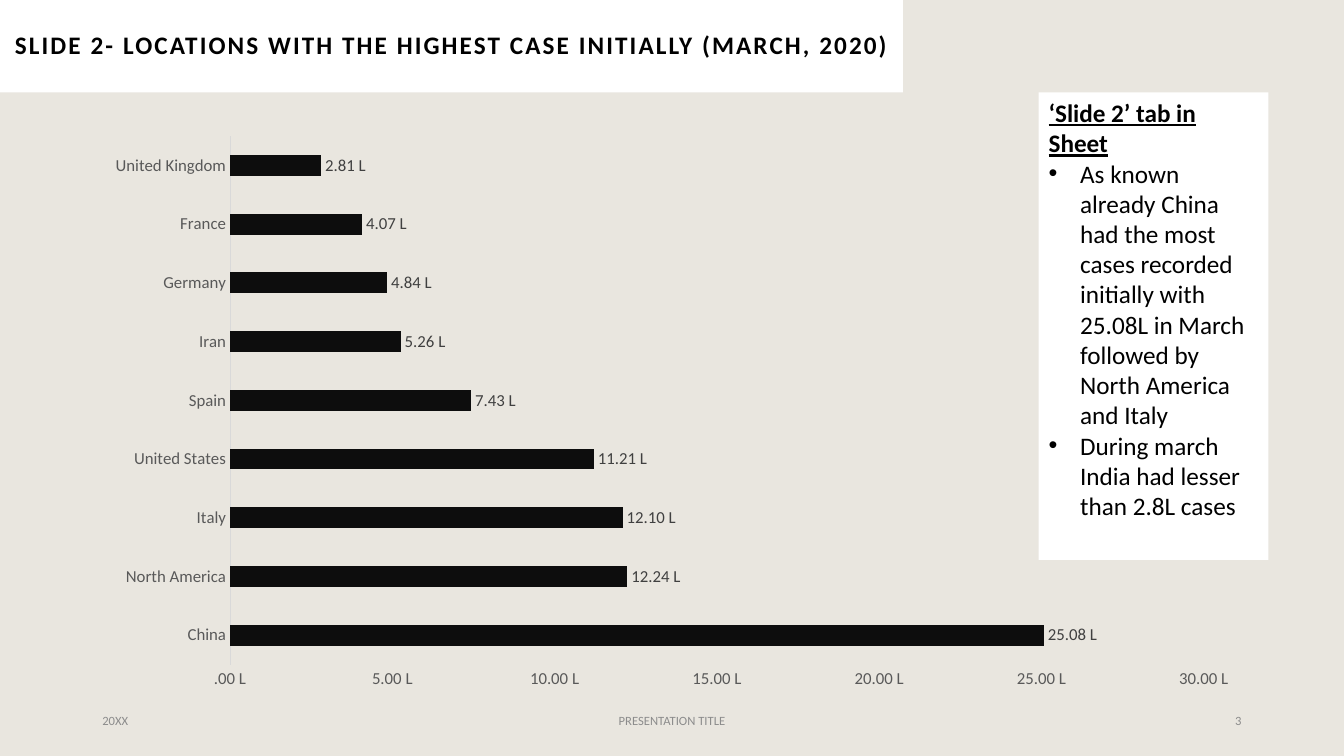
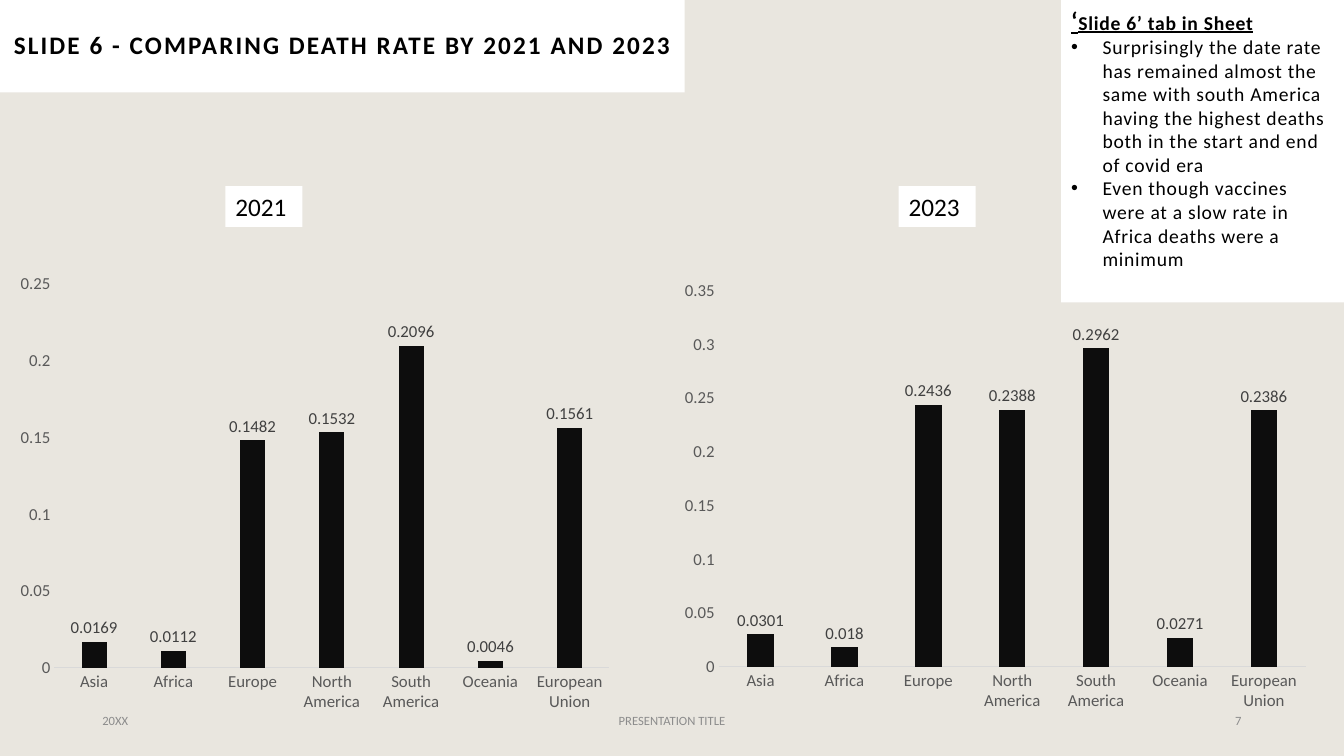
from dataclasses import dataclass

from lxml import etree
from pptx import Presentation
from pptx.chart.data import CategoryChartData
from pptx.dml.color import RGBColor
from pptx.enum.chart import XL_CHART_TYPE, XL_LABEL_POSITION, XL_TICK_MARK
from pptx.enum.text import MSO_ANCHOR, MSO_AUTO_SIZE, PP_ALIGN
from pptx.oxml import parse_xml
from pptx.oxml.ns import nsdecls, qn
from pptx.util import Pt

BAR, COLUMN = XL_CHART_TYPE.BAR_CLUSTERED, XL_CHART_TYPE.COLUMN_CLUSTERED
OUTSIDE, NO_TICK = XL_LABEL_POSITION.OUTSIDE_END, XL_TICK_MARK.NONE
LEFT, CENTER, RIGHT = PP_ALIGN.LEFT, PP_ALIGN.CENTER, PP_ALIGN.RIGHT
TOP, MIDDLE = MSO_ANCHOR.TOP, MSO_ANCHOR.MIDDLE
NO_FIT = MSO_AUTO_SIZE.NONE


@dataclass(frozen=True)
class Theme:
    font: str = "Calibri"
    paper: str = "E9E6DF"
    white: str = "FFFFFF"
    black: str = "000000"
    bar: str = "0D0D0D"
    value: str = "404040"
    axis: str = "595959"
    rule: str = "D9D9D9"
    foot: str = "8C8C8C"
    large: int = 18
    note: int = 14
    chart: int = 12
    small: int = 9


def place(shape, box):
    shape.left, shape.top, shape.width, shape.height = map(Pt, box)


def paint(fill, color):
    fill.solid()
    fill.fore_color.rgb = RGBColor.from_string(color)


class Deck:
    def __init__(self, theme):
        self.theme = theme
        self.show = Presentation()
        self.show.slide_width, self.show.slide_height = Pt(960), Pt(540)
        paint(self.show.slide_master.background.fill, theme.paper)
        self.slide = None

    def style(self, font, size, color, bold=False, track=0):
        font.name = self.theme.font
        font.size = Pt(size)
        font.bold = bold
        font.color.rgb = RGBColor.from_string(color)
        if track:
            font._element.set("spc", str(int(track * 100)))

    def page(self, title, width, number):
        self.slide = self.show.slides.add_slide(self.show.slide_layouts[5])
        shape = self.slide.shapes.title
        place(shape, (0, 0, width, 66))
        paint(shape.fill, self.theme.white)
        frame = shape.text_frame
        frame.text = title
        frame.auto_size = NO_FIT
        frame.word_wrap = True
        frame.vertical_anchor = MIDDLE
        para = frame.paragraphs[0]
        para.alignment = CENTER
        para.line_spacing = 0.9
        self.style(para.font, self.theme.large, self.theme.black, True, 1.5)
        feet = (("20XX", 66, 216, LEFT),
                ("PRESENTATION TITLE", 318, 324, CENTER),
                (str(number), 678, 216, RIGHT))
        for text, left, wide, align in feet:
            para = self.frame((left, 500, wide, 29), MIDDLE).paragraphs[0]
            para.text = text
            para.alignment = align
            self.style(para.font, self.theme.small, self.theme.foot)

    def frame(self, box, anchor=TOP, fill=None):
        shape = self.slide.shapes.add_textbox(*map(Pt, box))
        if fill:
            paint(shape.fill, fill)
        frame = shape.text_frame
        frame.word_wrap = True
        frame.auto_size = NO_FIT
        frame.vertical_anchor = anchor
        return frame

    def tag(self, text, box):
        para = self.frame(box, fill=self.theme.white).paragraphs[0]
        para.text = text
        self.style(para.font, self.theme.large, self.theme.black)

    def note(self, head, points, box, size, track=0):
        frame = self.frame(box, fill=self.theme.white)
        para = frame.paragraphs[0]
        quote = para.add_run()
        quote.text = "‘"
        quote.font.size = Pt(self.theme.large)
        para.add_run().text = head
        self.style(para.font, size, self.theme.black, True, track)
        para.font.underline = True
        for point in points:
            para = frame.add_paragraph()
            para.text = point
            props = para._p.get_or_add_pPr()
            props.set("marL", str(Pt(22.5)))
            props.set("indent", str(-Pt(22.5)))
            etree.SubElement(props, qn("a:buFont")).set("typeface", "Arial")
            etree.SubElement(props, qn("a:buChar")).set("char", "•")
            self.style(para.font, size, self.theme.black, False, track)

    def chart(self, kind, names, values, box, gap, top, step, form="General"):
        theme = self.theme
        data = CategoryChartData(number_format=form)
        data.categories = names
        data.add_series("Series 1", values)
        chart = self.slide.shapes.add_chart(kind, *map(Pt, box), data).chart
        chart.has_legend = False
        chart.has_title = False
        self.style(chart.font, theme.chart, theme.axis)
        clear = f'<c:spPr {nsdecls("c", "a")}><a:noFill/><a:ln><a:noFill/></a:ln></c:spPr>'
        chart._chartSpace.find(qn("c:chart")).addnext(parse_xml(clear))

        for axis in (chart.category_axis, chart.value_axis):
            axis.has_major_gridlines = False
            axis.major_tick_mark = axis.minor_tick_mark = NO_TICK
            self.style(axis.tick_labels.font, theme.chart, theme.axis)
        line = chart.category_axis.format.line
        paint(line.fill, theme.rule)
        line.width = Pt(0.75)
        scale = chart.value_axis
        scale.format.line.fill.background()
        scale.minimum_scale, scale.maximum_scale = 0, top
        scale.major_unit = step
        scale.tick_labels.number_format = form
        scale.tick_labels.number_format_is_linked = False

        plot = chart.plots[0]
        plot.gap_width = gap
        plot.vary_by_categories = False
        paint(plot.series[0].format.fill, theme.bar)
        plot.has_data_labels = True
        labels = plot.data_labels
        labels.show_value = True
        labels.position = OUTSIDE
        labels.number_format = form
        labels.number_format_is_linked = False
        self.style(labels.font, theme.chart, theme.value)


def main():
    theme = Theme()
    deck = Deck(theme)

    deck.page("SLIDE 2- LOCATIONS WITH THE HIGHEST CASE INITIALLY (MARCH, 2020)", 645, 3)
    places = ("China", "North America", "Italy", "United States", "Spain",
              "Iran", "Germany", "France", "United Kingdom")
    cases = (2508000, 1224000, 1210000, 1121000, 743000,
             526000, 484000, 407000, 281000)
    deck.chart(BAR, places, cases, (66, 89, 828, 411), 182,
               3000000, 500000, r'#\.00,\ "L"')
    deck.note("Slide 2’ tab in Sheet", (
        "As known already China had the most cases recorded initially with "
        "25.08L in March followed by North America and Italy",
        "During march India had lesser than 2.8L cases",
    ), (742, 66, 164, 334), theme.large)

    deck.page("SLIDE 6 - COMPARING DEATH RATE BY 2021 AND 2023", 489, 7)
    deck.note("Slide 6’ tab in Sheet", (
        "Surprisingly the date rate has remained almost the same with south "
        "America having the highest deaths both in the start and end of covid era",
        "Even though vaccines were at a slow rate in Africa deaths were a minimum",
    ), (758, 0, 202, 216), theme.note, 0.5)
    lands = ("Asia", "Africa", "Europe", "North America", "South America",
             "Oceania", "European Union")
    years = (
        ("2021", 161, (6, 189, 438, 326), 0.25,
         (0.0169, 0.0112, 0.1482, 0.1532, 0.2096, 0.0046, 0.1561)),
        ("2023", 642, (480, 194, 462, 320), 0.35,
         (0.0301, 0.018, 0.2436, 0.2388, 0.2962, 0.0271, 0.2386)),
    )
    for year, left, box, top, rates in years:
        deck.chart(COLUMN, lands, rates, box, 219, top, 0.05)
        deck.tag(year, (left, 133, 55, 29))

    deck.show.save("out.pptx")


if __name__ == "__main__":
    main()
